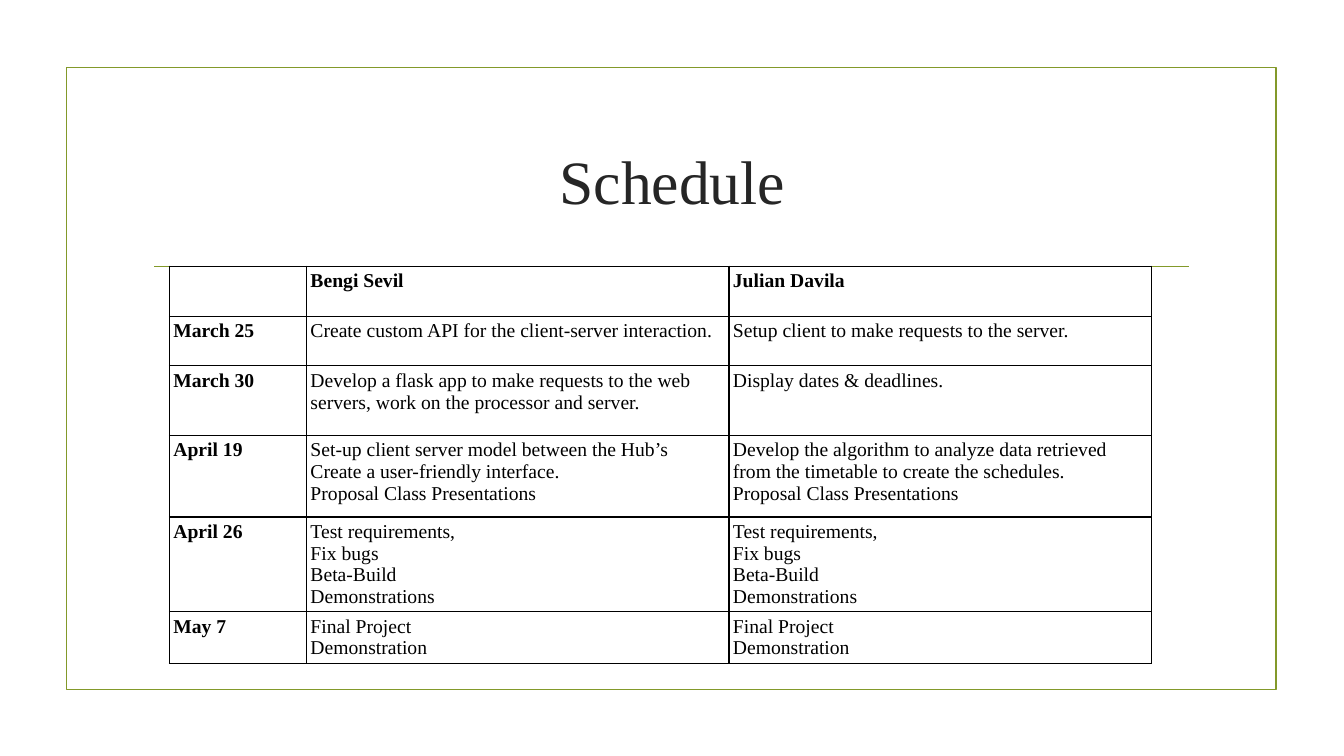
from lxml.etree import SubElement
from pptx import Presentation
from pptx.dml.color import RGBColor
from pptx.enum.shapes import MSO_CONNECTOR, MSO_SHAPE
from pptx.enum.text import MSO_ANCHOR, PP_ALIGN
from pptx.oxml.ns import qn
from pptx.util import Inches, Pt

WHITE = RGBColor(0xFF, 0xFF, 0xFF)
BLACK = RGBColor(0x00, 0x00, 0x00)
DARK = RGBColor(0x26, 0x26, 0x26)
GREEN = RGBColor(0x83, 0x99, 0x2A)
FONT = "Times New Roman"
WIDE, HIGH = 13.33, 7.5
COLS = [1.36, 4.19, 4.19]
ROWS = [0.5, 0.49, 0.69, 0.81, 0.93, 0.51]
TEST = "Test requirements,\nFix bugs\nBeta-Build\nDemonstrations"
FINAL = "Final Project\nDemonstration"
PLAN = [
    ["", "Bengi Sevil", "Julian Davila"],
    ["March 25", "Create custom API for the client-server interaction.",
     "Setup client to make requests to the server."],
    ["March 30",
     "Develop a flask app to make requests to the web servers, work on the processor and server.",
     "Display dates & deadlines."],
    ["April 19",
     "Set-up client server model between the Hub’s\nCreate a user-friendly interface.\n"
     "Proposal Class Presentations",
     "Develop the algorithm to analyze data retrieved from the timetable to create the schedules.\n"
     "Proposal Class Presentations"],
    ["April 26", TEST, TEST],
    ["May 7", FINAL, FINAL],
]


def write(frame, text, size=14, color=BLACK, bold=False, align=PP_ALIGN.LEFT):
    frame.text = text
    frame.word_wrap = True
    for para in frame.paragraphs:
        para.alignment = align
        font = para.font
        font.name, font.size, font.bold = FONT, Pt(size), bold
        font.color.rgb = color
        for run in para.runs:
            run.font.name = FONT


def edge(cell):
    props = cell._tc.get_or_add_tcPr()
    for side in ("lnL", "lnR", "lnT", "lnB"):
        line = SubElement(props, qn(f"a:{side}"), w=str(Pt(1)))
        fill = SubElement(line, qn("a:solidFill"))
        SubElement(fill, qn("a:srgbClr"), val=str(BLACK))


def draw_frame(slide, left, top, width, height):
    box = slide.shapes.add_shape(MSO_SHAPE.RECTANGLE, *map(Inches, (left, top, width, height)))
    box.shadow.inherit = False
    box.fill.background()
    box.line.color.rgb = GREEN
    box.line.width = Pt(1.25)
    inset = width * 0.0725
    level = top + height * 0.32
    ends = (left + inset, level, left + width - inset, level)
    rule = slide.shapes.add_connector(MSO_CONNECTOR.STRAIGHT, *map(Inches, ends))
    rule.line.color.rgb = GREEN
    rule.line.width = Pt(1.25)
    SubElement(rule._element.spPr, qn("a:effectLst"))


def draw_title(slide, left, top, width, height):
    title = slide.shapes.title
    title.left, title.top, title.width, title.height = map(Inches, (left, top, width, height))
    write(title.text_frame, "Schedule", size=44, color=DARK, align=PP_ALIGN.CENTER)
    title.text_frame.vertical_anchor = MSO_ANCHOR.MIDDLE


def draw_plan(slide, left, top):
    size = map(Inches, (left, top, sum(COLS), sum(ROWS)))
    table = slide.shapes.add_table(len(ROWS), len(COLS), *size).table
    table.first_row = table.horz_banding = False
    for col, width in zip(table.columns, COLS):
        col.width = Inches(width)
    for r, (row, height) in enumerate(zip(table.rows, ROWS)):
        row.height = Inches(height)
        for c, cell in enumerate(row.cells):
            cell.margin_left = cell.margin_right = Inches(0.04)
            cell.margin_top = cell.margin_bottom = Inches(0.04)
            edge(cell)
            cell.fill.solid()
            cell.fill.fore_color.rgb = WHITE
            write(cell.text_frame, PLAN[r][c], bold=r == 0 or c == 0)


def main():
    deck = Presentation()
    deck.slide_width, deck.slide_height = Inches(WIDE), Inches(HIGH)
    slide = deck.slides.add_slide(deck.slide_layouts[5])
    draw_frame(slide, 0.66, 0.67, 12, 6.17)
    draw_title(slide, 1.42, 1.07, 10.5, 1.43)
    draw_plan(slide, 1.68, 2.64)
    deck.save("out.pptx")


if __name__ == "__main__":
    main()
